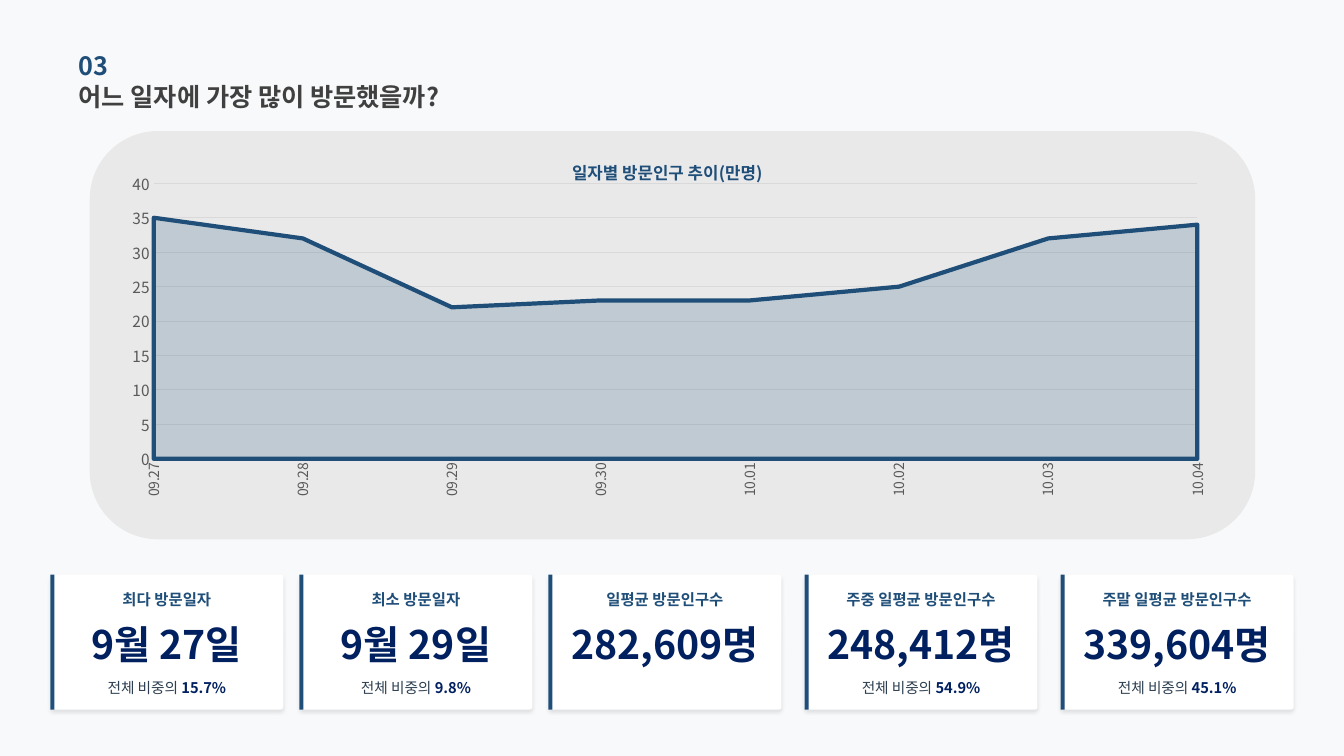
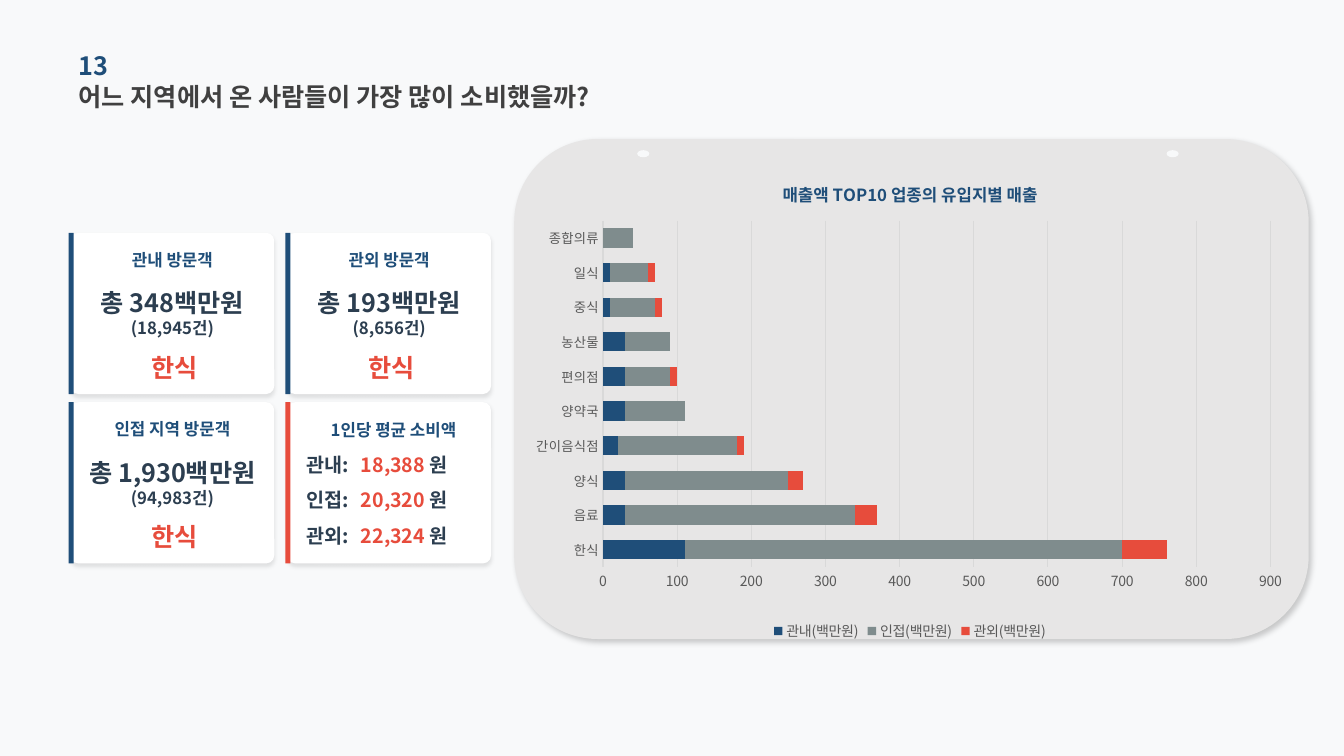
from dataclasses import dataclass

from lxml import etree
from pptx import Presentation
from pptx.chart.data import CategoryChartData
from pptx.dml.color import RGBColor
from pptx.enum.chart import XL_CHART_TYPE, XL_LEGEND_POSITION, XL_TICK_MARK
from pptx.enum.shapes import MSO_SHAPE
from pptx.enum.text import MSO_ANCHOR, PP_ALIGN
from pptx.oxml.ns import qn
from pptx.util import Pt

PX = 9144
AREA = XL_CHART_TYPE.AREA
STACKED_BARS = XL_CHART_TYPE.BAR_STACKED
LEGEND_BOTTOM = XL_LEGEND_POSITION.BOTTOM
NO_TICK = XL_TICK_MARK.NONE
RECTANGLE = MSO_SHAPE.RECTANGLE
ROUNDED = MSO_SHAPE.ROUNDED_RECTANGLE
OVAL = MSO_SHAPE.OVAL
MIDDLE = MSO_ANCHOR.MIDDLE
LEFT = PP_ALIGN.LEFT
CENTER = PP_ALIGN.CENTER


@dataclass(frozen=True)
class Style:
    size: float
    color: str
    bold: bool = True


@dataclass(frozen=True)
class Theme:
    font: str = "Noto Sans CJK KR"
    background: str = "F8F9FA"
    card: str = "FFFFFF"
    blue: str = "1F4E79"
    red: str = "E74C3C"
    gray: str = "7F8C8D"
    grid: str = "D9D9D9"
    trend_panel: str = "D0CECE"
    sales_panel: str = "E7E6E6"
    number: Style = Style(18, "1F4E79")
    title: Style = Style(18, "404040")
    label: Style = Style(11, "1F4E79")
    value: Style = Style(28, "002060")
    share: Style = Style(10.5, "2C3E50", False)
    share_value: Style = Style(10.5, "002060")
    heading: Style = Style(12, "1F4E79")
    amount: Style = Style(18, "2C3E50")
    count: Style = Style(12, "2C3E50")
    food: Style = Style(18, "E74C3C")
    spending: Style = Style(14, "2C3E50")
    spending_value: Style = Style(14, "E74C3C")
    axis: Style = Style(10, "595959", False)
    axis_large: Style = Style(11, "595959", False)
    axis_small: Style = Style(9.5, "595959", False)


THEME = Theme()
CARD_SHADOW = (10, 3, 2, 90)
PANEL_SHADOW = (20, 4, 3, 45)


def emu(box):
    return [length * PX for length in box]


def rgb(color):
    return RGBColor.from_string(color)


def set_font(font, style):
    font.name = THEME.font
    font.size = Pt(style.size)
    font.bold = style.bold
    font.color.rgb = rgb(style.color)
    east_asian = etree.SubElement(font._element, qn("a:ea"))
    east_asian.set("typeface", THEME.font)


def set_alpha(color_parent, percent):
    color = next(color_parent.iter(qn("a:srgbClr")))
    etree.SubElement(color, qn("a:alpha")).set("val", str(percent * 1000))


def add_shadow(shape, alpha, blur, distance, angle):
    effects = shape._element.spPr.find(qn("a:effectLst"))
    shadow = etree.SubElement(effects, qn("a:outerShdw"), {
        "blurRad": str(Pt(blur)), "dist": str(Pt(distance)),
        "dir": str(angle * 60000), "algn": "bl", "rotWithShape": "0"})
    etree.SubElement(shadow, qn("a:srgbClr")).set("val", "000000")
    set_alpha(shadow, alpha)


def add_box(slide, kind, box, color, roundness=None, shadow=None, alpha=None):
    shape = slide.shapes.add_shape(kind, *emu(box))
    shape.shadow.inherit = False
    shape.fill.solid()
    shape.fill.fore_color.rgb = rgb(color)
    shape.line.fill.background()
    if roundness is not None:
        shape.adjustments[0] = roundness
    if shadow:
        add_shadow(shape, *shadow)
    if alpha:
        set_alpha(shape._element.spPr, alpha)


def add_text(slide, box, *lines, align=CENTER):
    frame = slide.shapes.add_textbox(*emu(box)).text_frame
    frame.word_wrap = True
    frame.vertical_anchor = MIDDLE
    frame.margin_left = frame.margin_right = 0
    frame.margin_top = frame.margin_bottom = 0
    for index, runs in enumerate(lines):
        paragraph = frame.add_paragraph() if index else frame.paragraphs[0]
        paragraph.alignment = align
        base = runs[0][1]
        set_font(paragraph.font, base)
        for text, style in runs:
            run = paragraph.add_run()
            run.text = text
            if style != base:
                run.font.color.rgb = rgb(style.color)
                run.font.bold = style.bold


def new_slide(presentation, number, title):
    slide = presentation.slides.add_slide(presentation.slide_layouts[6])
    slide.background.fill.solid()
    slide.background.fill.fore_color.rgb = rgb(THEME.background)
    add_text(slide, (78, 75, 535, 41), [(title, THEME.title)], align=LEFT)
    add_text(slide, (78, 44, 452, 41), [(number, THEME.number)], align=LEFT)
    return slide


def set_layout(parent, index, **values):
    for old in parent.findall(qn("c:layout")):
        parent.remove(old)
    layout = etree.Element(qn("c:layout"))
    manual = etree.SubElement(layout, qn("c:manualLayout"))
    for name, value in values.items():
        etree.SubElement(manual, qn(f"c:{name}")).set("val", str(value))
    parent.insert(index, layout)


def set_plot_area(chart, x, y, w, h):
    plot_area = next(chart._chartSpace.iter(qn("c:plotArea")))
    set_layout(plot_area, 0, layoutTarget="inner", xMode="edge", yMode="edge",
               x=x, y=y, w=w, h=h)


def set_chart_title(chart, text, x, y):
    frame = chart.chart_title.text_frame
    frame.text = text
    set_font(frame.paragraphs[0].font, THEME.heading)
    set_layout(chart.chart_title._element, 1, xMode="edge", yMode="edge", x=x, y=y)


def set_axis(axis, style):
    axis.major_tick_mark = axis.minor_tick_mark = NO_TICK
    set_font(axis.tick_labels.font, style)


def set_line(line, color, width):
    line.color.rgb = rgb(color)
    line.width = Pt(width)


def add_chart(slide, kind, box, categories, series, colors,
              category_style, value_style, maximum, step):
    data = CategoryChartData()
    data.categories = categories
    for name, values in series:
        data.add_series(name, values)
    chart = slide.shapes.add_chart(kind, *emu(box), data).chart
    chart.has_legend = False
    set_font(chart.font, THEME.axis)
    set_axis(chart.category_axis, category_style)
    set_axis(chart.value_axis, value_style)
    set_line(chart.category_axis.format.line, THEME.grid, 0.75)
    chart.category_axis.has_major_gridlines = False
    chart.value_axis.format.line.fill.background()
    chart.value_axis.has_major_gridlines = True
    set_line(chart.value_axis.major_gridlines.format.line, THEME.grid, 0.75)
    chart.value_axis.minimum_scale = 0
    chart.value_axis.maximum_scale = maximum
    chart.value_axis.major_unit = step
    chart.plots[0].vary_by_categories = False
    for item, color in zip(chart.plots[0].series, colors):
        item.format.fill.solid()
        item.format.fill.fore_color.rgb = rgb(color)
    return chart


def add_kpi_card(slide, left, label, value, share):
    top, width, height = 570, 231, 134
    add_box(slide, ROUNDED, (left, top, width, height), THEME.card, 0.02, CARD_SHADOW)
    add_text(slide, (left, top + 14, width, 22), [(label, THEME.label)])
    add_text(slide, (left, top + 50, width, 38), [(value, THEME.value)])
    if share:
        add_text(slide, (left, top + 102, width, 21),
                 [("전체 비중의 ", THEME.share), (share, THEME.share_value)])
    add_box(slide, RECTANGLE, (left, top, 4, height), THEME.blue)


def add_spending_card(slide, left, top, accent):
    add_box(slide, ROUNDED, (left, top, 202, 160), THEME.card, 0.05, CARD_SHADOW)
    add_box(slide, RECTANGLE, (left - 2, top, 5, 160), accent)


def add_visitor_card(slide, left, top, heading, amount, count):
    add_spending_card(slide, left, top, THEME.blue)
    add_text(slide, (left, top + 11, 202, 31), [(heading, THEME.heading)])
    add_text(slide, (left, top + 56, 202, 47),
             [(amount, THEME.amount)], [(count, THEME.count)])
    add_text(slide, (left + 2, top + 110, 202, 47), [("한식", THEME.food)])


def add_average_card(slide, left, top, averages):
    add_spending_card(slide, left, top, THEME.red)
    add_text(slide, (left + 43, top + 15, 140, 25),
             [("1인당 평균 소비액", THEME.heading)], align=LEFT)
    for index, (region, amount) in enumerate(averages):
        row = top + 47 + 35 * index
        add_text(slide, (left + 19, row, 59, 30),
                 [(region, THEME.spending)], align=LEFT)
        add_text(slide, (left + 73, row, 120, 30),
                 [(amount, THEME.spending_value), ("원", THEME.spending)], align=LEFT)


def build_daily_visitors(presentation):
    slide = new_slide(presentation, "03", "어느 일자에 가장 많이 방문했을까?")
    add_box(slide, ROUNDED, (89, 130, 1156, 405), THEME.trend_panel, alpha=36)
    for card in (
        (50, "최다 방문일자", "9월 27일", "15.7%"),
        (297, "최소 방문일자", "9월 29일", "9.8%"),
        (544, "일평균 방문인구수", "282,609명", None),
        (798, "주중 일평균 방문인구수", "248,412명", "54.9%"),
        (1052, "주말 일평균 방문인구수", "339,604명", "45.1%"),
    ):
        add_kpi_card(slide, *card)
    days = ["09.27", "09.28", "09.29", "09.30", "10.01", "10.02", "10.03", "10.04"]
    visitors = [("Series 1", (35, 32, 22, 23, 23, 25, 32, 34))]
    chart = add_chart(slide, AREA, (108, 133, 1113, 408), days, visitors,
                      [THEME.blue], THEME.axis, THEME.axis_large, 40, 5)
    set_chart_title(chart, "일자별 방문인구 추이(만명)", 0.41, 0.05)
    set_plot_area(chart, 0.04, 0.12, 0.93, 0.67)
    area = chart.plots[0].series[0]
    set_alpha(area._element.find(qn("c:spPr")), 20)
    set_line(area.format.line, THEME.blue, 3)
    labels = chart.category_axis._element.find(qn("c:txPr"))
    labels.find(qn("a:bodyPr")).set("rot", "-5400000")


def build_regional_spending(presentation):
    slide = new_slide(presentation, "13", "어느 지역에서 온 사람들이 가장 많이 소비했을까?")
    add_box(slide, ROUNDED, (510, 138, 788, 496), THEME.sales_panel, shadow=PANEL_SHADOW)
    for left in (632, 1157):
        add_box(slide, OVAL, (left, 149, 12, 7), THEME.background)
    left, right, upper, lower = 70, 285, 231, 399
    add_visitor_card(slide, left, upper, "관내 방문객", "총 348백만원", "(18,945건)")
    add_visitor_card(slide, right, upper, "관외 방문객", "총 193백만원", "(8,656건)")
    add_visitor_card(slide, left, lower, "인접 지역 방문객", "총 1,930백만원", "(94,983건)")
    add_average_card(slide, right, lower, (
        ("관내:", "18,388 "), ("인접:", "20,320 "), ("관외:", "22,324 ")))
    industries = ["한식", "음료", "양식", "간이음식점", "양약국",
                  "편의점", "농산물", "중식", "일식", "종합의류"]
    sales = [
        ("관내(백만원)", (110, 30, 30, 20, 30, 30, 30, 10, 10, 0)),
        ("인접(백만원)", (590, 310, 220, 160, 80, 60, 60, 60, 50, 40)),
        ("관외(백만원)", (60, 30, 20, 10, 0, 10, 0, 10, 10, 0)),
    ]
    chart = add_chart(slide, STACKED_BARS, (522, 156, 761, 484), industries, sales,
                      [THEME.blue, THEME.gray, THEME.red],
                      THEME.axis_small, THEME.axis, 900, 100)
    set_chart_title(chart, "매출액 TOP10 업종의 유입지별 매출", 0.33, 0.04)
    set_plot_area(chart, 0.1, 0.13, 0.87, 0.71)
    chart.plots[0].gap_width = 80
    chart.plots[0].overlap = 100
    chart.has_legend = True
    chart.legend.position = LEGEND_BOTTOM
    chart.legend.include_in_layout = False
    set_font(chart.legend.font, THEME.axis)


def main():
    presentation = Presentation()
    presentation.slide_width, presentation.slide_height = emu((1333, 750))
    build_daily_visitors(presentation)
    build_regional_spending(presentation)
    presentation.save("out.pptx")


if __name__ == "__main__":
    main()
